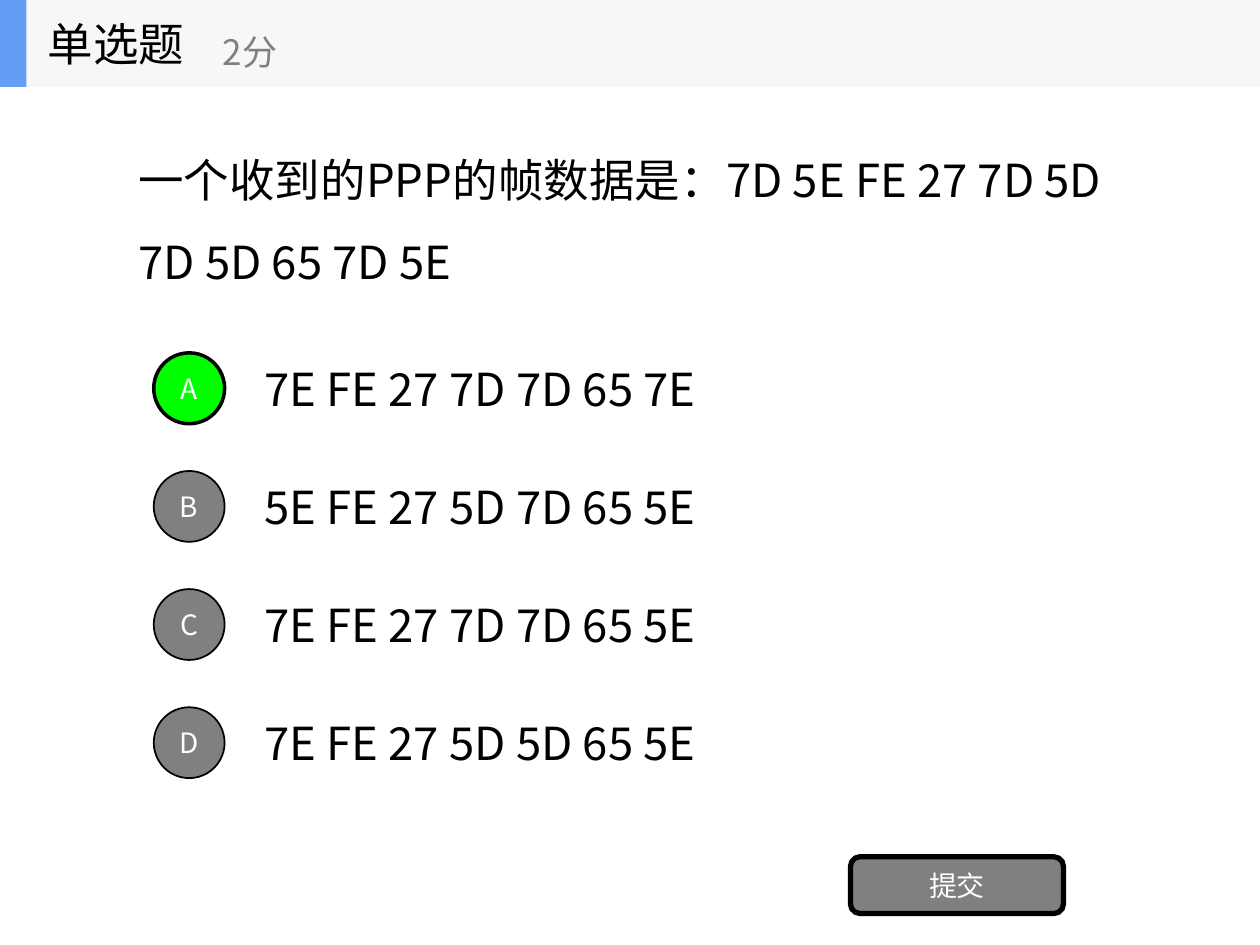
from dataclasses import dataclass

from lxml import etree
from pptx import Presentation
from pptx import util as u
from pptx.dml.color import RGBColor
from pptx.enum import shapes, text
from pptx.oxml.ns import qn


@dataclass(frozen=True)
class Theme:
    font: str = "Noto Sans CJK SC"
    ink: str = "000000"
    paper: str = "FFFFFF"
    muted: str = "808080"
    chosen: str = "00FF00"
    band: str = "F6F7F8"
    accent: str = "639EF4"
    body: int = 26
    points: int = 20
    label: int = 16


THEME = Theme()
WIDTH, HEIGHT = 10, 7.5
SHAPE = shapes.MSO_SHAPE
LEFT, CENTER = text.PP_ALIGN.LEFT, text.PP_ALIGN.CENTER
ANSWERS = [
    ("A", "7E FE 27 7D 7D 65 7E"),
    ("B", "5E FE 27 5D 7D 65 5E"),
    ("C", "7E FE 27 7D 7D 65 5E"),
    ("D", "7E FE 27 5D 5D 65 5E"),
]
CORRECT = "A"


def write(sp, words, size, color, align=LEFT, spacing=None):
    tf = sp.text_frame
    tf.word_wrap = True
    tf.vertical_anchor = text.MSO_ANCHOR.MIDDLE
    p = tf.paragraphs[0]
    p.text = words
    p.alignment = align
    if spacing:
        p.line_spacing = spacing
    p.font.size = u.Pt(size)
    p.font.color.rgb = RGBColor.from_string(color)
    p.font.name = THEME.font
    # East Asian characters take their typeface from a separate element.
    props = p._p.pPr.find(qn("a:defRPr"))
    etree.SubElement(props, qn("a:ea"), typeface=THEME.font)


def add_text(s, box, words, size, color=THEME.ink, spacing=None):
    sp = s.shapes.add_textbox(*map(u.Inches, box))
    write(sp, words, size, color, spacing=spacing)


def add_block(s, kind, box, fill, line=0):
    """Add a filled shape; a line width of 0 means no outline."""
    sp = s.shapes.add_shape(kind, *map(u.Inches, box))
    sp.shadow.inherit = False
    sp.fill.solid()
    sp.fill.fore_color.rgb = RGBColor.from_string(fill)
    if line:
        sp.line.color.rgb = RGBColor.from_string(THEME.ink)
        sp.line.width = u.Pt(line)
    else:
        sp.line.fill.background()
    return sp


def header(s, box):
    x, y, w, h = box
    add_block(s, SHAPE.RECTANGLE, box, THEME.band)
    add_block(s, SHAPE.RECTANGLE, (x, y, 0.021 * w, h), THEME.accent)
    add_text(s, (x + 0.028 * w, y, 0.208 * w, h), "单选题", THEME.body)
    add_text(s, (x + 0.167 * w, y + 0.18 * h, 0.25 * w, 0.82 * h),
             "2分", THEME.points, THEME.muted)


def question(s, box):
    add_text(s, box, "一个收到的PPP的帧数据是：7D 5E FE 27 7D 5D 7D 5D 65 7D 5E",
             THEME.body, spacing=1.5)


def answers(s, box):
    """Stack one row per answer: a lettered circle, then its text."""
    x, y, w, h = box
    pitch = h / len(ANSWERS)
    row = 0.75 * pitch
    circle = 0.6 * pitch
    indent = 0.1 * w
    for i, (letter, words) in enumerate(ANSWERS):
        top = y + i * pitch
        add_text(s, (x + indent, top, w - indent, row), words, THEME.body)
        correct = letter == CORRECT
        sp = add_block(s, SHAPE.OVAL,
                       (x, top + (row - circle) / 2, circle, circle),
                       THEME.chosen if correct else THEME.muted,
                       2 if correct else 1)
        write(sp, letter, THEME.label, THEME.paper, CENTER)


def submit_button(s, box):
    sp = add_block(s, SHAPE.ROUNDED_RECTANGLE, box, THEME.muted, 3)
    write(sp, "提交", THEME.label, THEME.paper, CENTER)


def main():
    prs = Presentation()
    prs.slide_width, prs.slide_height = u.Inches(WIDTH), u.Inches(HEIGHT)
    s = prs.slides.add_slide(prs.slide_layouts[6])
    question(s, (0.1 * WIDTH, 0.47, 0.8 * WIDTH, 2.34))
    answers(s, (1.22, 2.73, 0.78 * WIDTH, 0.5 * HEIGHT))
    submit_button(s, (6.75, 6.8, 1.69, 0.45))
    header(s, (0, 0, WIDTH, 0.69))
    prs.save("out.pptx")


if __name__ == "__main__":
    main()
